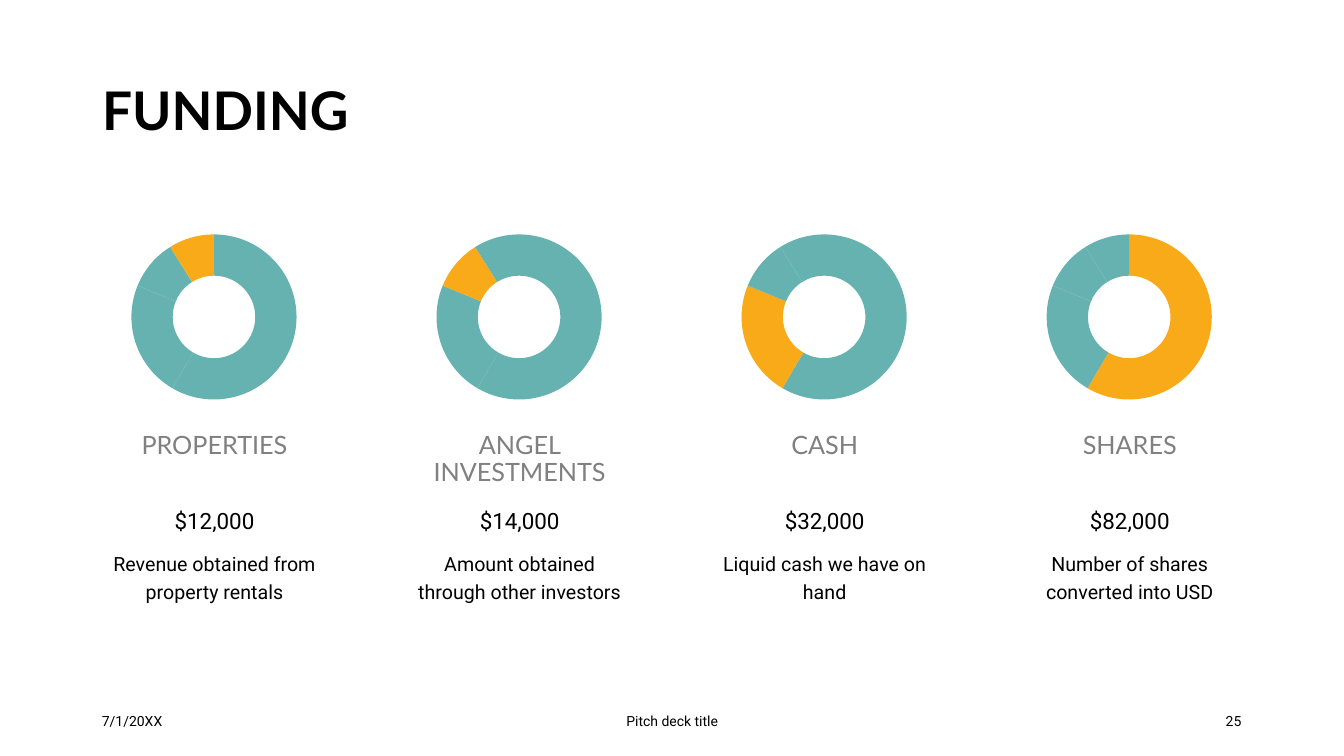
from dataclasses import dataclass

from lxml import etree
from pptx import Presentation
from pptx.chart.data import CategoryChartData
from pptx.dml.color import RGBColor
from pptx.enum.chart import XL_CHART_TYPE
from pptx.enum.text import MSO_ANCHOR, PP_ALIGN
from pptx.oxml.ns import qn
from pptx.slide import Slide
from pptx.text.text import TextFrame
from pptx.util import Emu, Inches, Length, Pt

DOUGHNUT = XL_CHART_TYPE.DOUGHNUT
TOP, MIDDLE = MSO_ANCHOR.TOP, MSO_ANCHOR.MIDDLE
LEFT, CENTER, RIGHT = PP_ALIGN.LEFT, PP_ALIGN.CENTER, PP_ALIGN.RIGHT

BLACK = RGBColor(0x00, 0x00, 0x00)
GRAY = RGBColor(0x80, 0x80, 0x80)
TEAL = RGBColor(0x66, 0xB2, 0xB0)
ORANGE = RGBColor(0xF9, 0xAA, 0x19)
WHITE = RGBColor(0xFF, 0xFF, 0xFF)

HEADING_FONT, BODY_FONT = "Lato", "Roboto"
PX_PER_INCH = 100.8
COLUMN_LEFT, COLUMN_PITCH, COLUMN_WIDTH = 101, 305, 227
SHARES_OF_FUNDING = (59, 23, 10, 9)


@dataclass(frozen=True)
class Box:
    left: int
    top: int
    width: int
    height: int

    def emu(self) -> tuple[Emu, ...]:
        edges = (self.left, self.top, self.width, self.height)
        return tuple(Emu(round(edge * Inches(1) / PX_PER_INCH)) for edge in edges)


@dataclass(frozen=True)
class TextStyle:
    size: int
    font: str = BODY_FONT
    color: RGBColor = BLACK
    bold: bool = False
    align: PP_ALIGN = CENTER
    anchor: MSO_ANCHOR = TOP
    line_spacing: float | Length = 1.0


@dataclass(frozen=True)
class FundingSource:
    name: str
    amount: str
    description: str
    highlighted_point: int


@dataclass(frozen=True)
class FooterItem:
    text: str
    box: Box
    align: PP_ALIGN


TITLE_STYLE = TextStyle(38, HEADING_FONT, bold=True, align=LEFT, anchor=MIDDLE, line_spacing=0.9)
NAME_STYLE = TextStyle(18, HEADING_FONT, GRAY, line_spacing=0.9)
AMOUNT_STYLE = TextStyle(16, line_spacing=Pt(20))
DESCRIPTION_STYLE = TextStyle(14, line_spacing=Pt(20))

FUNDING_SOURCES = (
    FundingSource("PROPERTIES", "$12,000", "Revenue obtained from property rentals", 3),
    FundingSource("ANGEL INVESTMENTS", "$14,000", "Amount obtained through other investors", 2),
    FundingSource("CASH", "$32,000", "Liquid cash we have on hand", 1),
    FundingSource("SHARES", "$82,000", "Number of shares converted into USD", 0),
)
FOOTER_ITEMS = (
    FooterItem("7/1/20XX", Box(92, 701, 302, 40), LEFT),
    FooterItem("Pitch deck title", Box(445, 701, 454, 40), CENTER),
    FooterItem("25", Box(949, 701, 302, 40), RIGHT),
)


def write_text(text_frame: TextFrame, text: str, style: TextStyle) -> None:
    text_frame.text = text
    text_frame.word_wrap = True
    text_frame.vertical_anchor = style.anchor
    paragraph = text_frame.paragraphs[0]
    paragraph.alignment = style.align
    paragraph.line_spacing = style.line_spacing
    font = paragraph.runs[0].font
    font.name = style.font
    font.size = Pt(style.size)
    font.bold = style.bold
    font.color.rgb = style.color


def add_text(slide: Slide, box: Box, text: str, style: TextStyle) -> None:
    write_text(slide.shapes.add_textbox(*box.emu()).text_frame, text, style)


def add_doughnut(slide: Slide, box: Box, highlighted_point: int) -> None:
    chart_data = CategoryChartData()
    chart_data.categories = [str(n + 1) for n in range(len(SHARES_OF_FUNDING))]
    chart_data.add_series("Series 1", SHARES_OF_FUNDING)
    chart = slide.shapes.add_chart(DOUGHNUT, *box.emu(), chart_data).chart
    chart.has_legend = False
    chart.has_title = False
    chart.font.name = BODY_FONT
    chart.font.size = Pt(10)
    chart.font.color.rgb = BLACK

    plot = chart.plots[0]
    plot.vary_by_categories = True
    plot.has_data_labels = False
    for index in range(len(SHARES_OF_FUNDING)):
        point_format = plot.series[0].points[index].format
        point_format.fill.solid()
        point_format.fill.fore_color.rgb = ORANGE if index == highlighted_point else TEAL
        point_format.line.fill.background()

    # Fixed ring size, centred in the chart frame
    plot_area = chart.element.find(".//" + qn("c:plotArea"))
    for layout in plot_area.findall(qn("c:layout")):
        plot_area.remove(layout)
    layout = etree.Element(qn("c:layout"))
    plot_area.insert(0, layout)
    manual_layout = etree.SubElement(layout, qn("c:manualLayout"))
    settings = {"layoutTarget": "inner", "xMode": "edge", "yMode": "edge",
                "x": "0.09", "y": "0.07", "w": "0.82", "h": "0.86"}
    for name, value in settings.items():
        etree.SubElement(manual_layout, qn("c:" + name)).set("val", value)


def add_funding_column(slide: Slide, left: int, source: FundingSource) -> None:
    add_doughnut(slide, Box(left + 12, 221, 202, 192), source.highlighted_point)
    add_text(slide, Box(left, 428, COLUMN_WIDTH, 60), source.name, NAME_STYLE)
    add_text(slide, Box(left, 501, COLUMN_WIDTH, 30), source.amount, AMOUNT_STYLE)
    add_text(slide, Box(left, 542, COLUMN_WIDTH, 101), source.description, DESCRIPTION_STYLE)


def main() -> None:
    presentation = Presentation()
    presentation.slide_width = Inches(13.33)
    presentation.slide_height = Inches(7.5)
    slide = presentation.slides.add_slide(presentation.slide_layouts[5])
    slide.background.fill.solid()
    slide.background.fill.fore_color.rgb = WHITE

    # Title
    title = slide.shapes.title
    title.left, title.top, title.width, title.height = Box(92, 40, 1159, 146).emu()
    write_text(title.text_frame, "FUNDING", TITLE_STYLE)

    # Funding columns
    for index, source in enumerate(FUNDING_SOURCES):
        add_funding_column(slide, COLUMN_LEFT + index * COLUMN_PITCH, source)

    # Footer
    for item in FOOTER_ITEMS:
        add_text(slide, item.box, item.text, TextStyle(10, align=item.align, anchor=MIDDLE))

    presentation.save("out.pptx")


if __name__ == "__main__":
    main()
